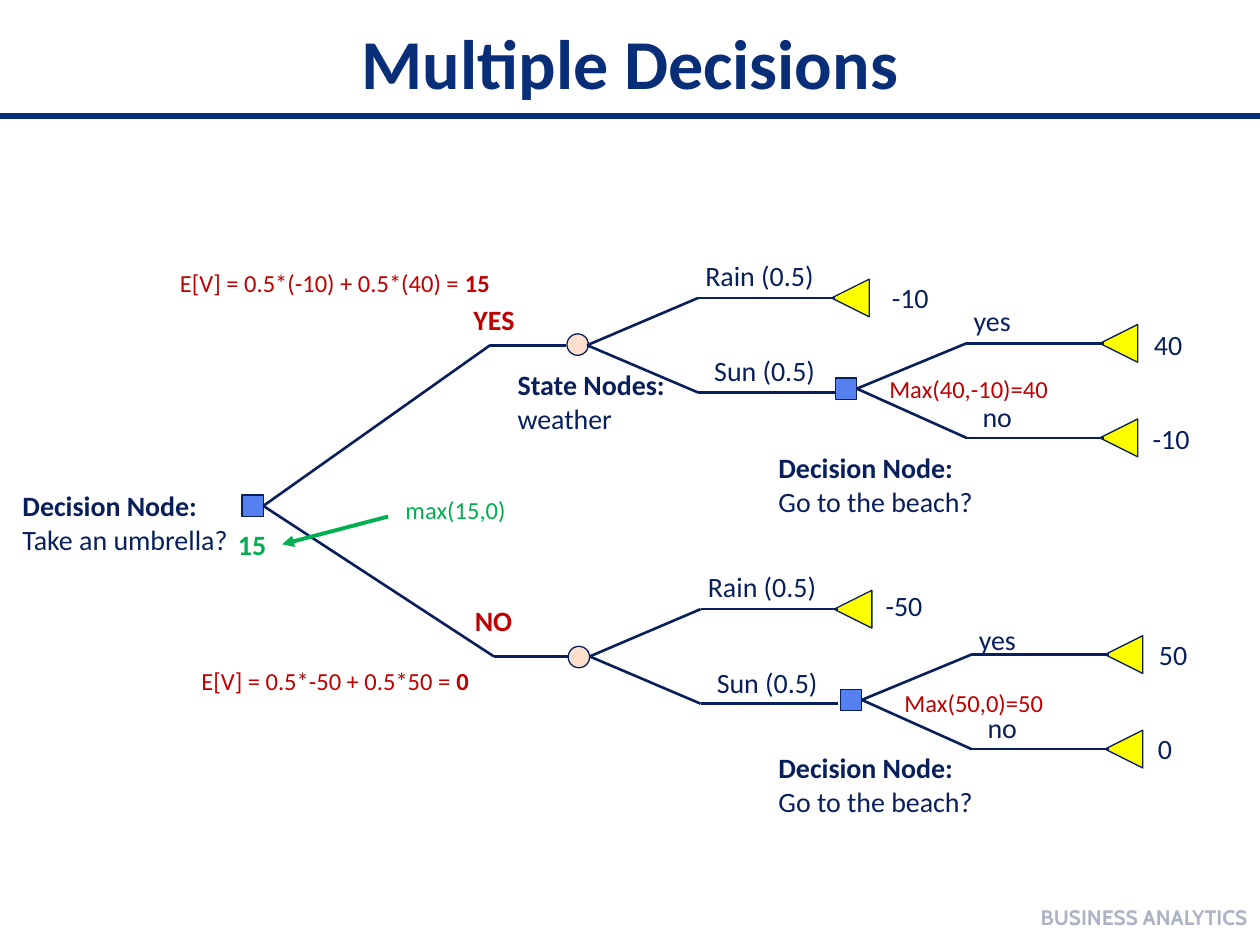
from dataclasses import dataclass

from lxml import etree
from pptx import Presentation
from pptx.dml.color import RGBColor
from pptx.enum.shapes import MSO_CONNECTOR, MSO_SHAPE as Geo
from pptx.enum.text import MSO_ANCHOR as Anchor, MSO_AUTO_SIZE as AutoSize, PP_ALIGN as Align
from pptx.oxml.ns import qn
from pptx.util import Inches, Pt

COLORS = {
    "title": "092E78", "ink": "081F5B", "footer": "06194C", "red": "C00000",
    "green": "00B050", "decision": "5480F0", "state": "FFDFCE", "leaf": "FFFF00",
}
NODE, LEAF = 0.17, 0.3
KNEE_DX, KNEE_DY = 0.88, 0.375   # from a node to the start of its flat branches
BRANCH = 1.09


@dataclass
class Label:
    at: tuple[float, float, float, float]
    paragraphs: list    # each paragraph is a list of (text, bold) runs
    color: str = "ink"
    size: int = 16


@dataclass
class Node:
    x: float
    y: float
    kind: str = "decision"


@dataclass
class Fork:
    node: Node
    x: float
    y: float
    upper: tuple[str, float]    # label, width
    lower: tuple[str, float]
    lower_leaf: bool = True
    upper_dy: float = -0.74


ROOT = Node(1.92, 3.93)
FORKS = [
    Fork(Node(4.5, 2.65, "state"), 4.66, 2.74, ("Rain (0.5)", 1.07), ("Sun (0.5)", 1.01), False),
    Fork(Node(4.51, 5.13, "state"), 4.68, 5.21, ("Rain (0.5)", 1.07), ("Sun (0.5)", 1.01), False),
    Fork(Node(6.63, 3), 6.79, 3.1, ("yes", 0.5), ("no", 0.44)),
    Fork(Node(6.67, 5.47), 6.83, 5.57, ("yes", 0.5), ("no", 0.44), upper_dy=-0.68),
]
ROOT_BRANCHES = [((3.89, 2.74), 4.49), ((3.92, 5.21), 4.51)]    # knee, end x


def plain(text: str) -> list:
    return [[(text, False)]]


def headed(heading: str, text: str) -> list:
    return [[(heading, True)], [(text, False)]]


LABELS = [
    Label((0.08, 3.83, 1.85, 0.64), headed("Decision Node:", "Take an umbrella?")),
    Label((4.01, 2.87, 1.38, 0.64), headed("State Nodes:", "weather")),
    Label((6.08, 3.53, 1.77, 0.64), headed("Decision Node:", "Go to the beach?")),
    Label((6.08, 5.91, 1.77, 0.64), headed("Decision Node:", "Go to the beach?")),
    Label((3.66, 2.35, 0.53, 0.37), [[("YES", True)]], "red"),
    Label((3.67, 4.74, 0.5, 0.37), [[("NO", True)]], "red"),
    Label((1.33, 2.08, 2.68, 0.34),
          [[("E[V] = 0.5*(-10) + 0.5*(40) = ", False), ("15", True)]], "red", 14),
    Label((1.5, 5.24, 2.34, 0.34),
          [[("E[V] = 0.5*-50 + 0.5*50 = ", False), ("0", True)]], "red", 14),
    Label((7.08, 5.41, 1.32, 0.34), plain("Max(50,0)=50"), "red", 14),
    Label((6.96, 2.92, 1.47, 0.34), plain("Max(40,-10)=40"), "red", 14),
    Label((1.79, 4.14, 0.43, 0.37), [[("15", True)]], "green"),
    Label((3.12, 3.88, 1, 0.34), plain("max(15,0)"), "green", 14),
    Label((6.98, 2.18, 0.5, 0.37), plain("-10")),
    Label((6.93, 4.62, 0.5, 0.37), plain("-50")),
    Label((9.06, 2.55, 0.43, 0.37), plain("40")),
    Label((9.05, 3.3, 0.5, 0.37), plain("-10")),
    Label((9.1, 5.01, 0.43, 0.37), plain("50")),
    Label((9.09, 5.76, 0.32, 0.37), plain("0")),
]


def rgb(name: str) -> RGBColor:
    return RGBColor.from_string(COLORS[name])


def add_text(s, at, paragraphs: list, *, color="ink", size=16, font="Calibri",
             align=Align.LEFT, anchor=Anchor.TOP, wrap=False, alpha=None):
    """Add a text box; alpha is the opacity in percent."""
    sp = s.shapes.add_textbox(*map(Inches, at))
    tf = sp.text_frame
    tf.word_wrap = wrap
    tf.auto_size = AutoSize.NONE if wrap else AutoSize.SHAPE_TO_FIT_TEXT
    tf.vertical_anchor = anchor
    for i, runs in enumerate(paragraphs):
        p = tf.add_paragraph() if i else tf.paragraphs[0]
        p.alignment = align
        for text, bold in runs:
            r = p.add_run()
            r.text = text
            r.font.name, r.font.size, r.font.bold = font, Pt(size), bold
            r.font.color.rgb = rgb(color)
            if alpha is not None:
                clr = r._r.rPr.find(".//" + qn("a:srgbClr"))
                etree.SubElement(clr, qn("a:alpha"), val=str(alpha * 1000))
    return sp


def add_line(s, start, end, *, color="ink", width=1.5, origin=None, arrow=False):
    """Draw a line, joined to the right side of origin if that is given."""
    line = s.shapes.add_connector(MSO_CONNECTOR.STRAIGHT, *map(Inches, (*start, *end)))
    line.line.color.rgb = rgb(color)
    line.line.width = Pt(width)
    if arrow:
        etree.SubElement(line.line._get_or_add_ln(), qn("a:tailEnd"), type="triangle")
    etree.SubElement(line._element.spPr, qn("a:effectLst"))
    if origin is not None:
        origin_shape, site = origin, 3
        line.begin_connect(origin_shape, site)
    return line


def add_mark(s, geo: Geo, x: float, y: float, side: float, fill: str):
    sp = s.shapes.add_shape(geo, *map(Inches, (x, y, side, side)))
    sp.shadow.inherit = False
    sp.fill.solid()
    sp.fill.fore_color.rgb = rgb(fill)
    sp.line.color.rgb = rgb("ink")
    sp.line.width = Pt(0.75)
    return sp


def add_node(s, node: Node):
    geo = Geo.RECTANGLE if node.kind == "decision" else Geo.OVAL
    return add_mark(s, geo, node.x, node.y, NODE, node.kind)


def add_fork(s, fork: Fork) -> None:
    """Draw a node with its upper and lower branch, their labels and end triangles."""
    sp = add_node(s, fork.node)
    origin = sp if fork.node.kind == "decision" else None
    knee_x = fork.x + KNEE_DX
    branches = [
        (-KNEE_DY, fork.upper, 0.84, fork.upper_dy, True),
        (KNEE_DY, fork.lower, 0.91, 0.02, fork.lower_leaf),
    ]
    for dy, (text, width), label_dx, label_dy, has_leaf in branches:
        y = fork.y + dy
        add_line(s, (fork.x, fork.y), (knee_x, y), origin=origin)
        if has_leaf:
            leaf = add_mark(s, Geo.ISOSCELES_TRIANGLE, fork.x + 1.94, y - LEAF / 2, LEAF, "leaf")
            leaf.rotation = 270
        add_line(s, (knee_x, y), (knee_x + BRANCH, y))
        add_text(s, (fork.x + label_dx, fork.y + label_dy, width, 0.37), plain(text))


def main() -> None:
    prs = Presentation()
    prs.slide_width, prs.slide_height = Inches(10), Inches(7.5)
    s = prs.slides.add_slide(prs.slide_layouts[6])

    add_line(s, (0, 0.92), (10, 0.92), color="title", width=3)
    add_text(s, (6.67, 7.08, 3.33, 0.4), [[("BUSINESS ANALYTICS", True)]], color="footer",
             size=12, font="Cabin", align=Align.RIGHT, anchor=Anchor.MIDDLE, wrap=True, alpha=33)
    add_text(s, (0.69, -0.24, 8.62, 1.45), [[("Multiple Decisions", True)]], color="title",
             size=40, align=Align.CENTER, anchor=Anchor.MIDDLE, wrap=True)

    root = add_node(s, ROOT)
    for knee, end_x in ROOT_BRANCHES:
        add_line(s, (2.08, 4.01), knee, origin=root)
        add_line(s, knee, (end_x, knee[1]))
    for fork in FORKS:
        add_fork(s, fork)
    for label in LABELS:
        add_text(s, label.at, label.paragraphs, color=label.color, size=label.size)
    add_line(s, (3.08, 4.1), (2.24, 4.32), color="green", width=2.25, arrow=True)

    prs.save("out.pptx")


if __name__ == "__main__":
    main()
